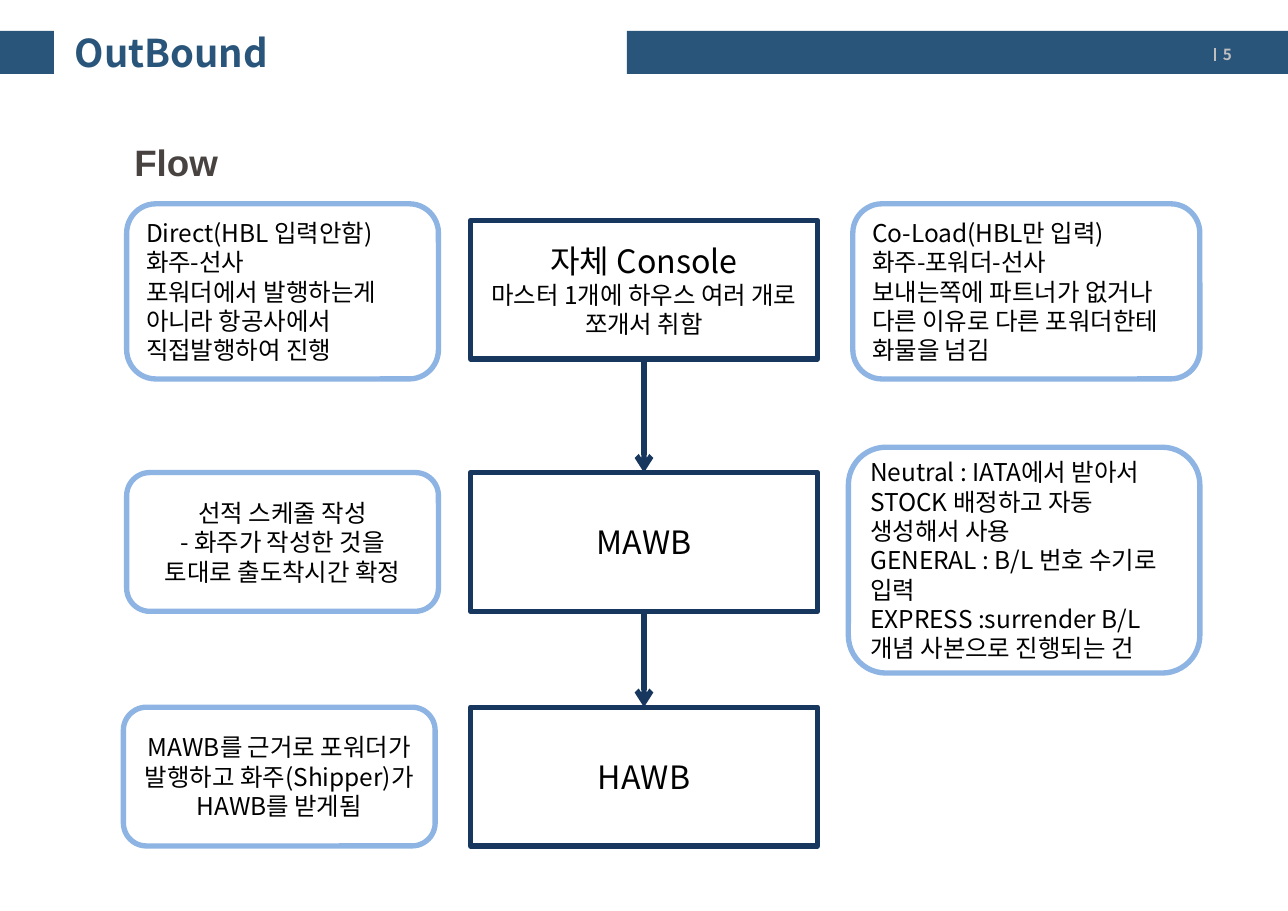
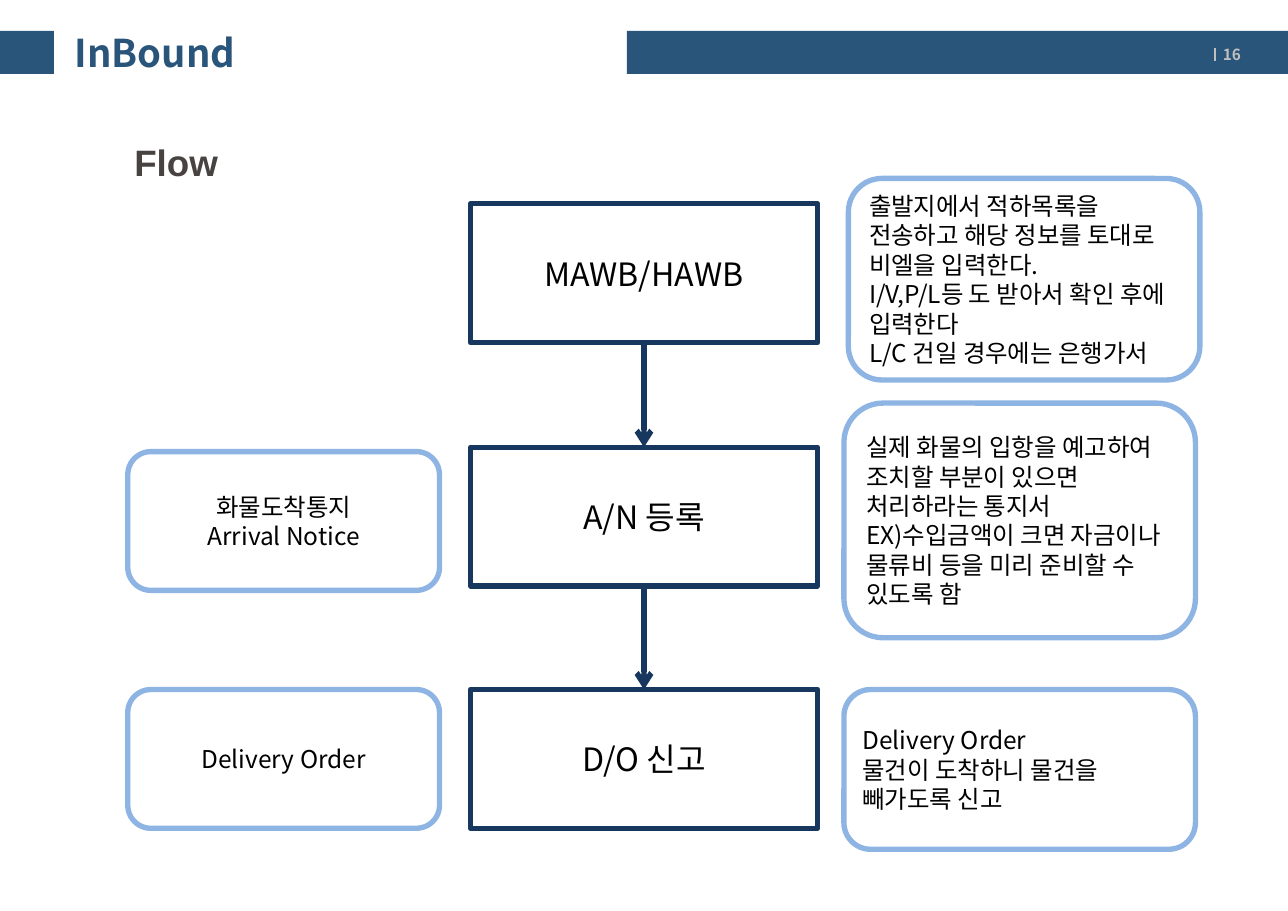
from dataclasses import dataclass

from lxml import etree
from pptx import Presentation
from pptx.dml.color import RGBColor
from pptx.enum.shapes import MSO_CONNECTOR, MSO_SHAPE
from pptx.enum.text import MSO_ANCHOR, PP_ALIGN
from pptx.oxml.ns import qn
from pptx.shapes.autoshape import Shape
from pptx.shapes.connector import Connector
from pptx.slide import Slide
from pptx.text.text import TextFrame
from pptx.util import Inches, Pt

RECT = MSO_SHAPE.RECTANGLE
ROUND = MSO_SHAPE.ROUNDED_RECTANGLE
STRAIGHT = MSO_CONNECTOR.STRAIGHT
MIDDLE, TOP = MSO_ANCHOR.MIDDLE, MSO_ANCHOR.TOP
LEFT, CENTER = PP_ALIGN.LEFT, PP_ALIGN.CENTER

BAND = RGBColor(0x2A, 0x55, 0x7B)
NAVY = RGBColor(0x17, 0x37, 0x5E)
SKY = RGBColor(0x8E, 0xB4, 0xE3)
GREY = RGBColor(0xBF, 0xBF, 0xBF)
BROWN = RGBColor(0x48, 0x42, 0x41)
BLACK = RGBColor(0, 0, 0)

KOREAN = "Noto Sans CJK KR"
LATIN = "Arial"
BORDER = 3.5
STEP_X, STEP_W, STEP_H = 4.27, 3.15, 1.26
STEP_SIZE, NOTE_SIZE = 21, 16


@dataclass(frozen=True)
class Step:
    top: float
    label: str
    detail: str = ""


@dataclass(frozen=True)
class Note:
    left: float
    top: float
    width: float
    height: float
    lines: tuple[str, ...]
    align: PP_ALIGN = LEFT


@dataclass(frozen=True)
class Flow:
    title: str
    page: str
    steps: tuple[Step, ...]
    notes: tuple[Note, ...]


FLOWS = (
    Flow(
        "OutBound", "5",
        (
            Step(2, "자체 Console", "마스터 1개에 하우스 여러 개로 쪼개서 취함"),
            Step(4.29, "MAWB"),
            Step(6.42, "HAWB"),
        ),
        (
            Note(7.74, 1.85, 3.15, 1.59, (
                "Co-Load(HBL만 입력)",
                "화주-포워더-선사",
                "보내는쪽에 파트너가 없거나 다른 이유로 다른 포워더한테 화물을 넘김",
            )),
            Note(1.15, 1.85, 2.83, 1.59, (
                "Direct(HBL 입력안함)",
                "화주-선사",
                "포워더에서 발행하는게 아니라 항공사에서 직접발행하여 진행",
            )),
            Note(1.15, 4.29, 2.83, 1.26, (
                "선적 스케줄 작성",
                "- 화주가 작성한 것을 토대로 출도착시간 확정",
            ), CENTER),
            Note(7.7, 4.06, 3.19, 2.05, (
                "Neutral : IATA에서 받아서 STOCK 배정하고 자동 생성해서 사용",
                "GENERAL : B/L 번호 수기로 입력",
                "EXPRESS :surrender B/L 개념 사본으로 진행되는 건",
            )),
            Note(1.12, 6.42, 2.83, 1.26, (
                "MAWB를 근거로 포워더가 발행하고 화주(Shipper)가 HAWB를 받게됨",
            ), CENTER),
        ),
    ),
    Flow(
        "InBound", "16",
        (
            Step(1.85, "MAWB/HAWB"),
            Step(4.06, "A/N 등록"),
            Step(6.26, "D/O 신고"),
        ),
        (
            Note(7.7, 1.62, 3.19, 1.83, (
                "출발지에서 적하목록을 전송하고 해당 정보를 토대로 비엘을 입력한다.",
                "I/V,P/L등 도 받아서 확인 후에 입력한다",
                "L/C 건일 경우에는 은행가서",
            )),
            Note(7.66, 3.66, 3.19, 2.13, (
                "실제 화물의 입항을 예고하여 조치할 부분이 있으면 처리하라는 통지서",
                "EX)수입금액이 크면 자금이나 물류비 등을 미리 준비할 수 있도록 함",
            )),
            Note(7.66, 6.26, 3.19, 1.45, (
                "Delivery Order",
                "물건이 도착하니 물건을 빼가도록 신고",
            )),
            Note(1.16, 6.26, 2.83, 1.26, ("Delivery Order",), CENTER),
            Note(1.16, 4.1, 2.83, 1.26, ("화물도착통지", "Arrival Notice"), CENTER),
        ),
    ),
)


def add_line(tf: TextFrame, text: str, size: float, color: RGBColor = BLACK,
             font: str = KOREAN, bold: bool = False, align: PP_ALIGN = LEFT) -> None:
    p = tf.paragraphs[0]
    if p.runs:
        p = tf.add_paragraph()
    p.alignment = align
    r = p.add_run()
    r.text = text
    r.font.size = Pt(size)
    r.font.name = font
    r.font.bold = bold
    r.font.color.rgb = color
    etree.SubElement(r._r.rPr, qn("a:ea"), typeface=font)


def add_label(s: Slide, left: float, top: float, width: float, height: float,
              anchor: MSO_ANCHOR, inset_x: float = 0.1, inset_y: float = 0.05) -> TextFrame:
    tf = s.shapes.add_textbox(Inches(left), Inches(top), Inches(width), Inches(height)).text_frame
    tf.word_wrap = True
    tf.vertical_anchor = anchor
    tf.margin_left = tf.margin_right = Inches(inset_x)
    tf.margin_top = tf.margin_bottom = Inches(inset_y)
    return tf


def add_band(s: Slide, left: float, width: float) -> None:
    sp = s.shapes.add_shape(RECT, Inches(left), Inches(0.28), Inches(width), Inches(0.39))
    sp.shadow.inherit = False
    sp.fill.solid()
    sp.fill.fore_color.rgb = BAND
    sp.line.fill.background()


def add_frame(s: Slide, kind: MSO_SHAPE, left: float, top: float, width: float,
              height: float, color: RGBColor) -> Shape:
    sp = s.shapes.add_shape(kind, Inches(left), Inches(top), Inches(width), Inches(height))
    sp.shadow.inherit = False
    sp.fill.background()
    sp.line.color.rgb = color
    sp.line.width = Pt(BORDER)
    sp.text_frame.word_wrap = True
    sp.text_frame.vertical_anchor = MIDDLE
    return sp


def add_rule(s: Slide, x: float, y1: float, y2: float, color: RGBColor, width: float) -> Connector:
    line = s.shapes.add_connector(STRAIGHT, Inches(x), Inches(y1), Inches(x), Inches(y2))
    line.line.color.rgb = color
    line.line.width = Pt(width)
    etree.SubElement(line._element.spPr, qn("a:effectLst"))
    return line


def add_arrow(s: Slide, upper: Shape, lower: Shape) -> None:
    arrow = add_rule(s, 0, 0, 1, NAVY, BORDER)
    arrow.begin_connect(upper, 2)
    arrow.end_connect(lower, 0)
    etree.SubElement(arrow._element.spPr.find(qn("a:ln")), qn("a:tailEnd"), type="arrow")


def add_header(s: Slide, title: str, page: str) -> None:
    add_band(s, 5.69, 6)
    add_rule(s, 11.03, 0.44, 0.55, GREY, 1.5)
    add_band(s, 0, 0.49)
    add_line(add_label(s, 10.99, 0.31, 0.55, 0.36, MIDDLE, 0.11, 0.06), page, 10, GREY, bold=True)
    add_line(add_label(s, 0.57, 0.2, 5.04, 0.55, MIDDLE, 0.11, 0.06), title, 25, BAND, bold=True)
    add_line(add_label(s, 1.12, 1.22, 1.18, 0.5, TOP), "Flow", 24, BROWN, LATIN, True)


def add_step(s: Slide, step: Step) -> Shape:
    sp = add_frame(s, RECT, STEP_X, step.top, STEP_W, STEP_H, NAVY)
    add_line(sp.text_frame, step.label, STEP_SIZE, align=CENTER)
    if step.detail:
        add_line(sp.text_frame, step.detail, NOTE_SIZE, align=CENTER)
    return sp


def add_note(s: Slide, note: Note) -> None:
    sp = add_frame(s, ROUND, note.left, note.top, note.width, note.height, SKY)
    for text in note.lines:
        add_line(sp.text_frame, text, NOTE_SIZE, align=note.align)


def add_flow(prs: Presentation, flow: Flow) -> None:
    s = prs.slides.add_slide(prs.slide_layouts[6])
    add_header(s, flow.title, flow.page)
    boxes = [add_step(s, step) for step in flow.steps]
    for upper, lower in zip(boxes, boxes[1:]):
        add_arrow(s, upper, lower)
    for note in flow.notes:
        add_note(s, note)


def main() -> None:
    prs = Presentation()
    prs.slide_width, prs.slide_height = Inches(11.69), Inches(8.27)
    for flow in FLOWS:
        add_flow(prs, flow)
    prs.save("out.pptx")


if __name__ == "__main__":
    main()
